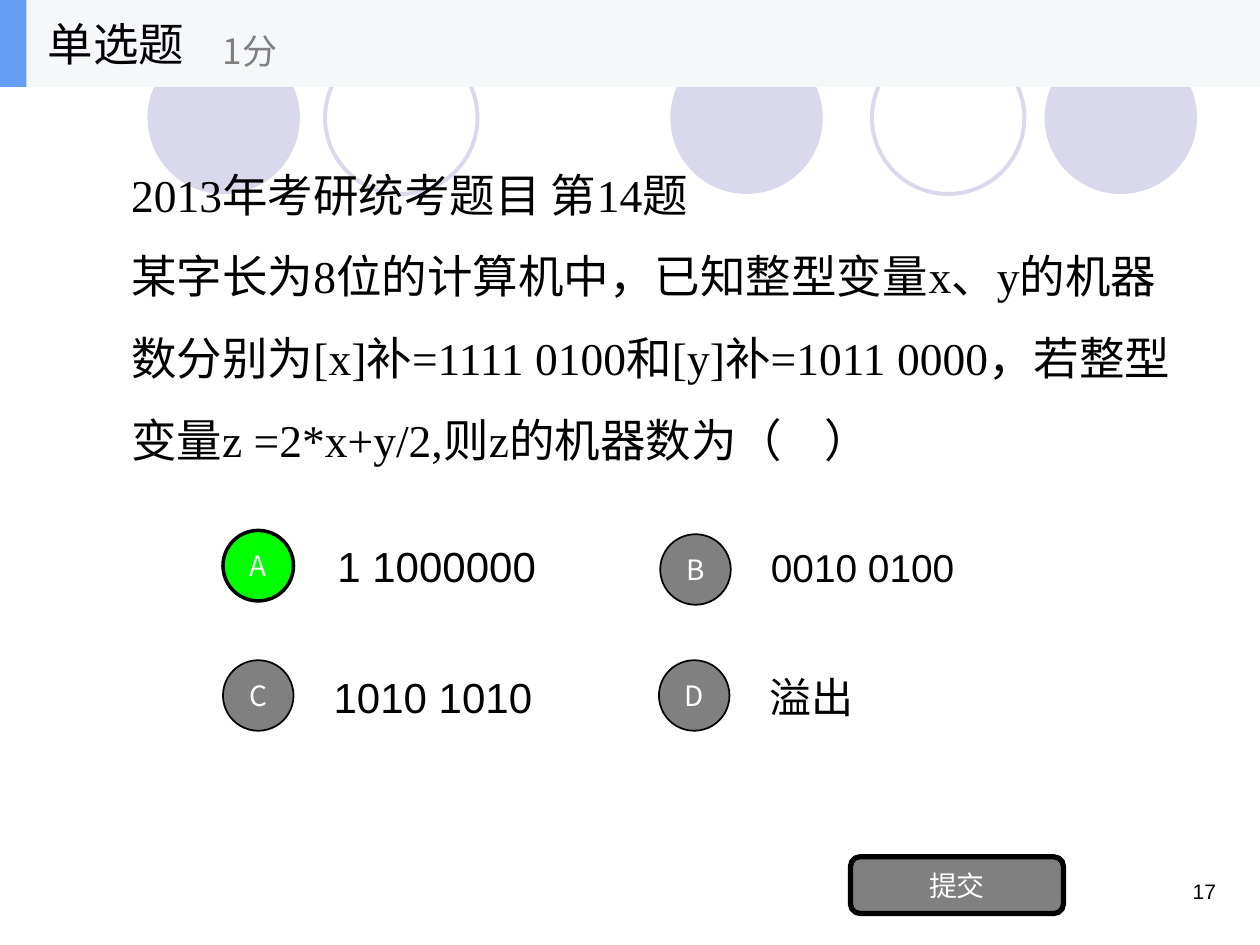
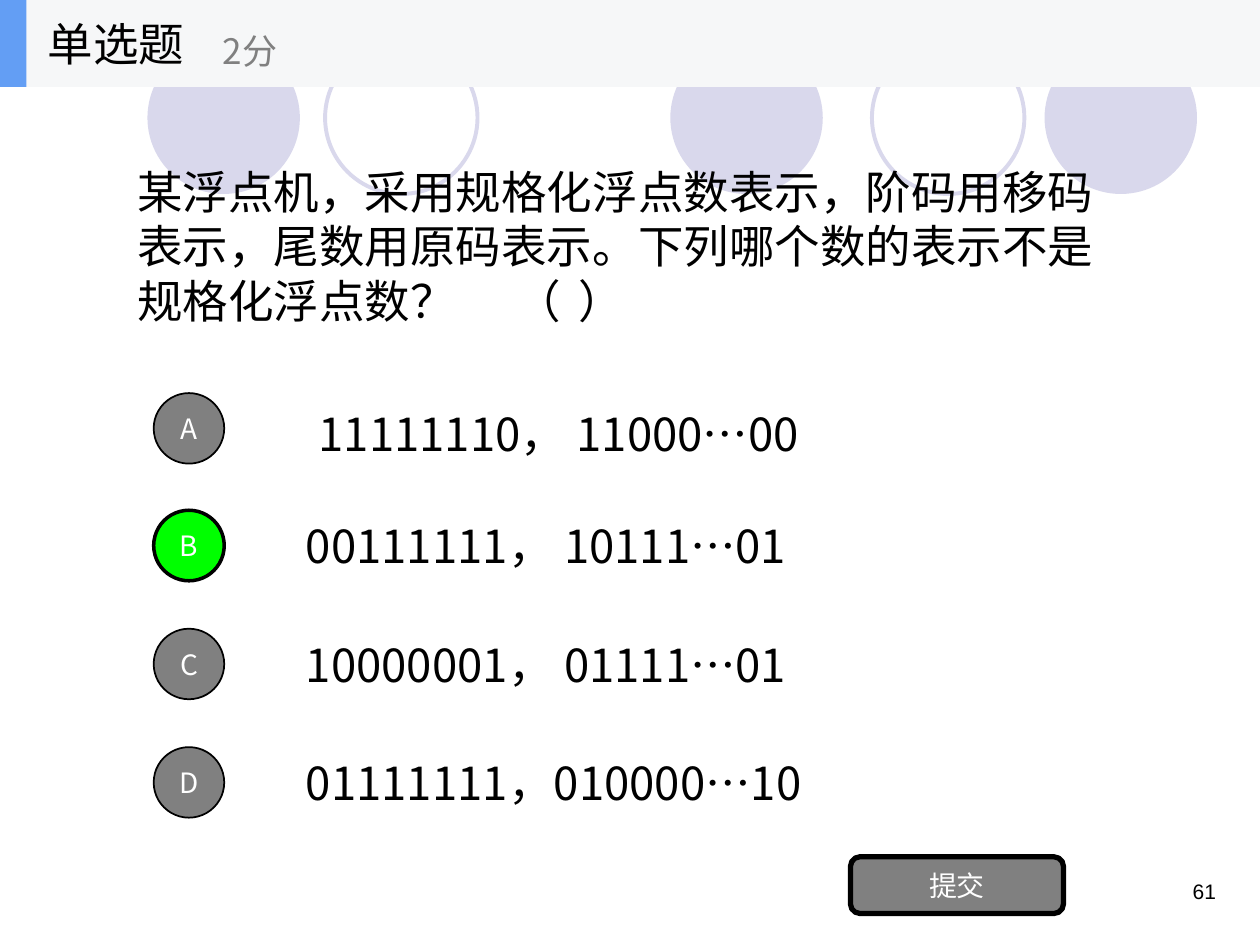
from dataclasses import dataclass
from typing import Optional

from lxml.etree import SubElement
from pptx import Presentation
from pptx.dml.color import RGBColor
from pptx.enum.shapes import MSO_SHAPE as ShapeKind
from pptx.enum.text import MSO_ANCHOR as Anchor, MSO_AUTO_SIZE as AutoSize, PP_ALIGN as Align
from pptx.oxml.ns import qn
from pptx.util import Inches, Pt

BLACK = RGBColor(0x00, 0x00, 0x00)
WHITE = RGBColor(0xFF, 0xFF, 0xFF)
GRAY = RGBColor(0x80, 0x80, 0x80)
GREEN = RGBColor(0x00, 0xFF, 0x00)
LAVENDER = RGBColor(0xD9, 0xD8, 0xEC)
BAND = RGBColor(0xF6, 0xF7, 0xF8)
ACCENT = RGBColor(0x63, 0x9E, 0xF4)

SANS = "Noto Sans CJK SC"
ARIAL = "Arial"
TIMES = "Times New Roman"

BAND_HEIGHT = 0.69
CIRCLE_SIZE = 1.21
BADGE_SIZE = 0.56
OPTION_HEIGHT = 0.7
FILLED_CIRCLES = (1.17, 5.32, 8.29)
OUTLINED_CIRCLES = (2.58, 6.92)


@dataclass(frozen=True)
class Box:
    left: float
    top: float
    width: float
    height: float

    def lengths(self) -> tuple:
        return tuple(Inches(value) for value in (self.left, self.top, self.width, self.height))


@dataclass(frozen=True)
class Option:
    letter: str
    text: str
    badge_left: float
    badge_top: float
    left: float
    top: float
    width: float
    size: float = 24
    font: str = ARIAL
    indent: float = 0
    spacing: float = 1


@dataclass(frozen=True)
class Question:
    score: str
    number: str
    paragraphs: tuple
    box: Box
    options: tuple
    answer: str
    font: str = SANS
    spacing: float = 1
    tab_stops: tuple = ()


QUESTIONS = (
    Question(
        score="1分",
        number="17",
        paragraphs=(
            "2013年考研统考题目 第14题",
            "某字长为8位的计算机中，已知整型变量x、y的机器数分别为[x]补=1111 0100"
            "和[y]补=1011 0000，若整型变量z =2*x+y/2,则z的机器数为（\t）",
        ),
        box=Box(0.94, 1.04, 8.58, 2.73),
        options=(
            Option("A", "1 1000000", 1.77, 4.21, 2.58, 4.14, 1.87),
            Option("B", "0010 0100", 5.24, 4.24, 6.02, 4.17, 1.9, size=22.2, spacing=0.9),
            Option("C", "1010 1010", 1.77, 5.24, 2.55, 5.18, 2.06),
            Option("D", "溢出", 5.23, 5.24, 6.01, 5.18, 1.11),
        ),
        answer="A",
        font=TIMES,
        spacing=1.5,
        tab_stops=(7.42,),
    ),
    Question(
        score="2分",
        number="61",
        paragraphs=(
            "某浮点机，采用规格化浮点数表示，阶码用移码表示，尾数用原码表示。"
            "下列哪个数的表示不是规格化浮点数？\t（\t）",
        ),
        box=Box(0.99, 0.78, 8, 2.34),
        options=(
            Option("A", "11111110， 11000…00", 1.22, 3.12, 1.93, 3, 7, 26, SANS, 0.5, 1.4),
            *(
                Option(letter, text, 1.22, 4.05 + 0.94 * row, 2, 3.98 + 0.94 * row, 7, 26, SANS, 0.33)
                for row, (letter, text) in enumerate((
                    ("B", "00111111， 10111…01"),
                    ("C", "10000001， 01111…01"),
                    ("D", "01111111，010000…10"),
                ))
            ),
        ),
        answer="B",
        tab_stops=(2.69, 3.38),
    ),
)


def write_text(shape, *paragraphs: str, size: float, font: str = SANS, color: RGBColor = BLACK,
               align: Align = Align.LEFT, anchor: Anchor = Anchor.MIDDLE, spacing: float = 1,
               indent: float = 0, tab_stops: tuple = ()) -> None:
    frame = shape.text_frame
    frame.word_wrap = True
    frame.auto_size = AutoSize.NONE
    frame.vertical_anchor = anchor
    for index, text in enumerate(paragraphs):
        paragraph = frame.paragraphs[0] if index == 0 else frame.add_paragraph()
        properties = paragraph._p.get_or_add_pPr()
        properties.set("marL", str(Inches(indent)))
        properties.set("indent", "0")
        SubElement(properties, qn("a:buNone"))
        if tab_stops:
            tab_list = SubElement(properties, qn("a:tabLst"))
            for stop in tab_stops:
                SubElement(tab_list, qn("a:tab"), pos=str(Inches(stop)), algn="l")
        paragraph.alignment = align
        paragraph.line_spacing = spacing
        paragraph.space_before = Pt(0)
        run = paragraph.add_run()
        run.text = text
        run.font.size = Pt(size)
        run.font.color.rgb = color
        run.font.name = font
        SubElement(run._r.get_or_add_rPr(), qn("a:ea"), typeface=SANS)


def add_text(slide, box: Box, text: str, **text_format) -> None:
    write_text(slide.shapes.add_textbox(*box.lengths()), text, **text_format)


def fill_placeholder(placeholder, box: Box, *paragraphs: str, **text_format) -> None:
    placeholder.left, placeholder.top, placeholder.width, placeholder.height = box.lengths()
    write_text(placeholder, *paragraphs, **text_format)


def draw_shape(slide, kind: ShapeKind, box: Box, fill: Optional[RGBColor] = None,
               line: Optional[RGBColor] = None, line_width: float = 1):
    shape = slide.shapes.add_shape(kind, *box.lengths())
    shape.shadow.inherit = False
    if fill is None:
        shape.fill.background()
    else:
        shape.fill.solid()
        shape.fill.fore_color.rgb = fill
    if line is None:
        shape.line.fill.background()
    else:
        shape.line.color.rgb = line
        shape.line.width = Pt(line_width)
    return shape


def decorate_layout(layout, slide) -> None:
    decorations = [
        draw_shape(slide, ShapeKind.OVAL, Box(left, 0.33, CIRCLE_SIZE, CIRCLE_SIZE), fill=LAVENDER)
        for left in FILLED_CIRCLES
    ]
    decorations += [
        draw_shape(slide, ShapeKind.OVAL, Box(left, 0.33, CIRCLE_SIZE, CIRCLE_SIZE),
                   line=LAVENDER, line_width=2.25)
        for left in OUTLINED_CIRCLES
    ]
    decorations += [
        draw_shape(slide, ShapeKind.RECTANGLE, Box(0, 0, width, BAND_HEIGHT), fill=color)
        for width, color in ((10, BAND), (0.21, ACCENT))
    ]
    layout_tree = layout.placeholders[0].element.getparent()
    for shape_id, shape in enumerate(decorations, start=100):
        shape.element.nvSpPr.cNvPr.set("id", str(shape_id))
        layout_tree.append(shape.element)


def draw_option(slide, option: Option, correct: bool) -> None:
    add_text(slide, Box(option.left, option.top, option.width, OPTION_HEIGHT), option.text,
             size=option.size, font=option.font, indent=option.indent, spacing=option.spacing)
    badge = draw_shape(slide, ShapeKind.OVAL,
                       Box(option.badge_left, option.badge_top, BADGE_SIZE, BADGE_SIZE),
                       fill=GREEN if correct else GRAY, line=BLACK, line_width=2 if correct else 1)
    write_text(badge, option.letter, size=16, color=WHITE, align=Align.CENTER)


def draw_question(slide, question: Question) -> None:
    fill_placeholder(slide.shapes.title, Box(0.28, 0, 2.08, BAND_HEIGHT), "单选题", size=26)
    fill_placeholder(slide.placeholders[1], question.box, *question.paragraphs, size=26,
                     font=question.font, spacing=question.spacing, tab_stops=question.tab_stops)
    add_text(slide, Box(1.67, 0.12, 2.5, 0.56), question.score, size=20, color=GRAY)
    for option in question.options:
        draw_option(slide, option, option.letter == question.answer)
    submit_button = draw_shape(slide, ShapeKind.ROUNDED_RECTANGLE, Box(6.75, 6.8, 1.69, 0.45),
                               fill=GRAY, line=BLACK, line_width=3)
    write_text(submit_button, "提交", size=16, color=WHITE, align=Align.CENTER)
    add_text(slide, Box(7.42, 6.92, 2.33, 0.5), question.number, size=12, font=ARIAL,
             align=Align.RIGHT, anchor=Anchor.TOP)


def main() -> None:
    presentation = Presentation()
    presentation.slide_width = Inches(10)
    presentation.slide_height = Inches(7.5)
    layout = presentation.slide_layouts[1]
    slides = [presentation.slides.add_slide(layout) for _ in QUESTIONS]
    decorate_layout(layout, slides[0])
    for slide, question in zip(slides, QUESTIONS):
        draw_question(slide, question)
    presentation.save("out.pptx")


if __name__ == "__main__":
    main()
